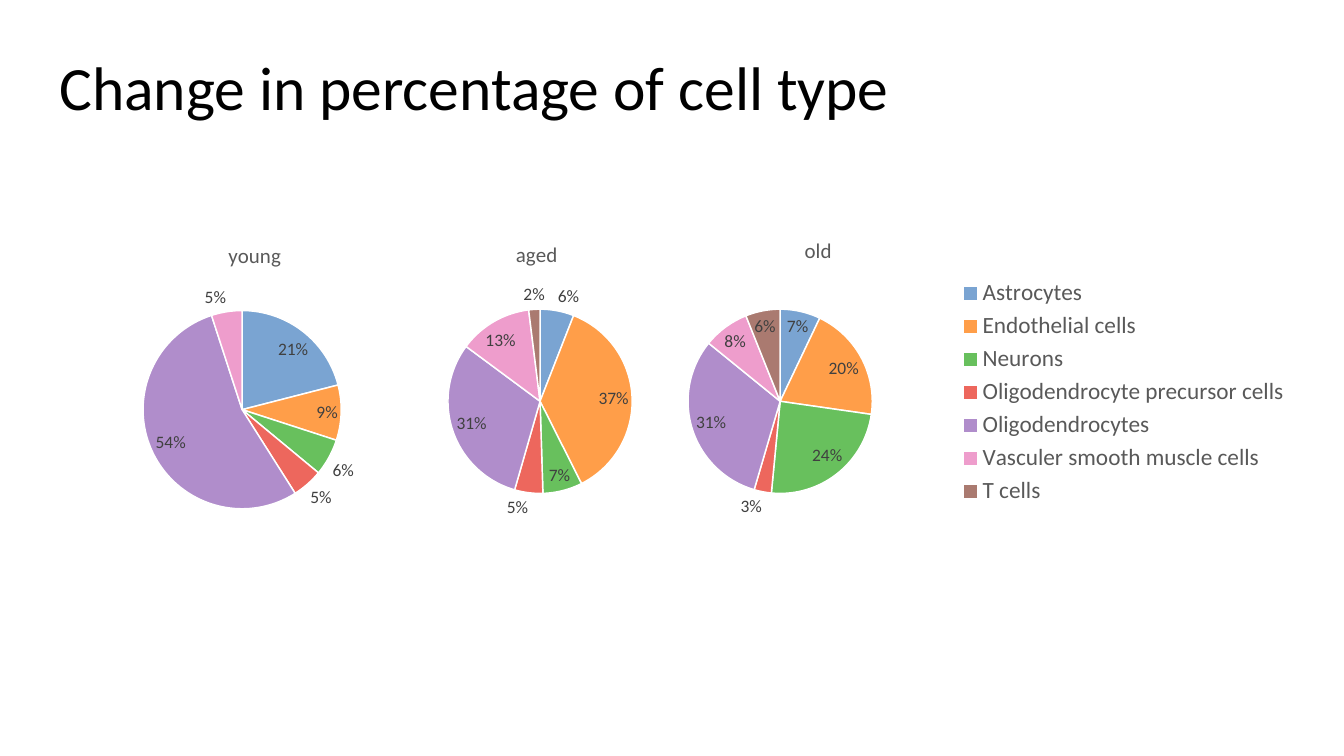
from lxml import etree
from pptx import Presentation, util as u
from pptx.chart.data import CategoryChartData
from pptx.dml.color import RGBColor
from pptx.enum import chart as ch, text
from pptx.oxml import ns

CELL_TYPES = ["Astrocytes", "Endothelial cells", "Neurons", "Oligodendrocyte precursor cells",
              "Oligodendrocytes", "Vasculer smooth muscle cells", "T cells"]
NUMBERS = ["1", "2", "3", "4", "5", "6", "7"]
CELL_COLOURS = ["7AA4D2", "FF9E49", "68C05D", "ED675D", "B08DCB", "EE9DCC", "AA7A70"]


def colour(code):
    return RGBColor.from_string(code)


def apply(target, values):
    for name, value in values.items():
        setattr(target, name, value)


class CellDeck:
    """Holds the slide and its type style, and draws the title and the age-group pies."""

    def __init__(self, width, height):
        self.deck = Presentation()
        apply(self.deck, {"slide_width": u.Inches(width), "slide_height": u.Inches(height)})
        self.slide = self.deck.slides.add_slide(self.deck.slide_layouts[5])

    def style(self, font, size, code):
        apply(font, {"name": "Calibri", "size": u.Pt(size), "bold": False})
        font.color.rgb = colour(code)

    def title(self, words, box):
        heading = self.slide.shapes.title
        apply(heading, dict(zip(("left", "top", "width", "height"), map(u.Inches, box))))
        apply(heading.text_frame, {"text": words, "word_wrap": True,
                                   "vertical_anchor": text.MSO_ANCHOR.TOP})
        line = heading.text_frame.paragraphs[0]
        apply(line, {"alignment": text.PP_ALIGN.LEFT, "line_spacing": 0.9})
        self.style(line.runs[0].font, 63.5, "000000")

    def place(self, chart, tag, index, frame, target=None):
        parent = chart.element.find(".//" + ns.qn(tag))
        for old in parent.findall(ns.qn("c:layout")):
            parent.remove(old)
        layout = etree.Element(ns.qn("c:layout"))
        parent.insert(index, layout)
        manual = etree.SubElement(layout, ns.qn("c:manualLayout"))
        settings = {"layoutTarget": target} if target else {}
        settings.update(xMode="edge", yMode="edge", **dict(zip("xywh", frame)))
        for name, value in settings.items():
            etree.SubElement(manual, ns.qn("c:" + name)).set("val", str(value))

    def clear_background(self, chart):
        backdrop = etree.Element(ns.qn("c:spPr"))
        etree.SubElement(backdrop, ns.qn("a:noFill"))
        outline = etree.SubElement(backdrop, ns.qn("a:ln"))
        etree.SubElement(outline, ns.qn("a:noFill"))
        chart.element.find(ns.qn("c:chart")).addnext(backdrop)

    def hide_label(self, chart, index):
        label = etree.Element(ns.qn("c:dLbl"))
        for name, value in (("idx", index), ("delete", 1)):
            etree.SubElement(label, ns.qn("c:" + name)).set("val", str(value))
        chart.element.find(".//" + ns.qn("c:dLbls")).insert(0, label)

    def pie(self, age, shares, box, centre, radius, categories=NUMBERS):
        data = CategoryChartData()
        data.categories = categories
        data.add_series(age, shares)
        chart = self.slide.shapes.add_chart(
            ch.XL_CHART_TYPE.PIE, *map(u.Inches, box), data).chart
        self.style(chart.font, 18, "000000")
        apply(chart, {"has_title": True, "has_legend": False})
        chart.chart_title.text_frame.text = age
        self.style(chart.chart_title.text_frame.paragraphs[0].runs[0].font, 21.6, "595959")
        chart.plots[0].vary_by_categories = True

        series = chart.plots[0].series[0]
        labels = series.data_labels
        apply(labels, {"show_percentage": True, "show_value": False, "number_format": "0%",
                       "number_format_is_linked": False,
                       "position": ch.XL_LABEL_POSITION.BEST_FIT})
        self.style(labels.font, 18, "404040")
        for index, (share, code) in enumerate(zip(shares, CELL_COLOURS)):
            wedge = series.points[index].format
            wedge.fill.solid()
            wedge.fill.fore_color.rgb = colour(code)
            wedge.line.color.rgb = colour("FFFFFF")
            wedge.line.width = u.Pt(1.5)
            if share == 0:
                self.hide_label(chart, index)

        left, top, width, height = box
        self.place(chart, "c:plotArea", 0,
                   ((centre[0] - radius - left) / width, (centre[1] - radius - top) / height,
                    2 * radius / width, 2 * radius / height), "inner")
        self.clear_background(chart)
        return chart

    def legend(self, chart, frame):
        chart.has_legend = True
        apply(chart.legend, {"position": ch.XL_LEGEND_POSITION.RIGHT, "include_in_layout": False})
        self.style(chart.legend.font, 24, "595959")
        self.place(chart, "c:legend", 1, frame)


def main():
    cells = CellDeck(19.26, 10.83)
    cells.title("Change in percentage of cell type", (0.75, 0.77, 18.52, 2.09))
    cells.pie("young", (21, 9, 6, 5, 54, 5, 0), (-0.68, 3.26, 8.66, 4.33), (3.47, 5.87), 1.42)
    cells.pie("aged", (6, 37, 7, 5, 31, 13, 2), (3.36, 3.24, 8.66, 4.33), (7.74, 5.75), 1.32)
    old = cells.pie("old", (7, 20, 24, 3, 31, 8, 6), (7.98, 3.24, 11.28, 4.33),
                    (11.18, 5.75), 1.32, CELL_TYPES)
    cells.place(old, "c:title", 1, (0.31, 0.02))
    cells.legend(old, (0.51, 0.16, 0.42, 0.78))
    cells.deck.save("out.pptx")


if __name__ == "__main__":
    main()
